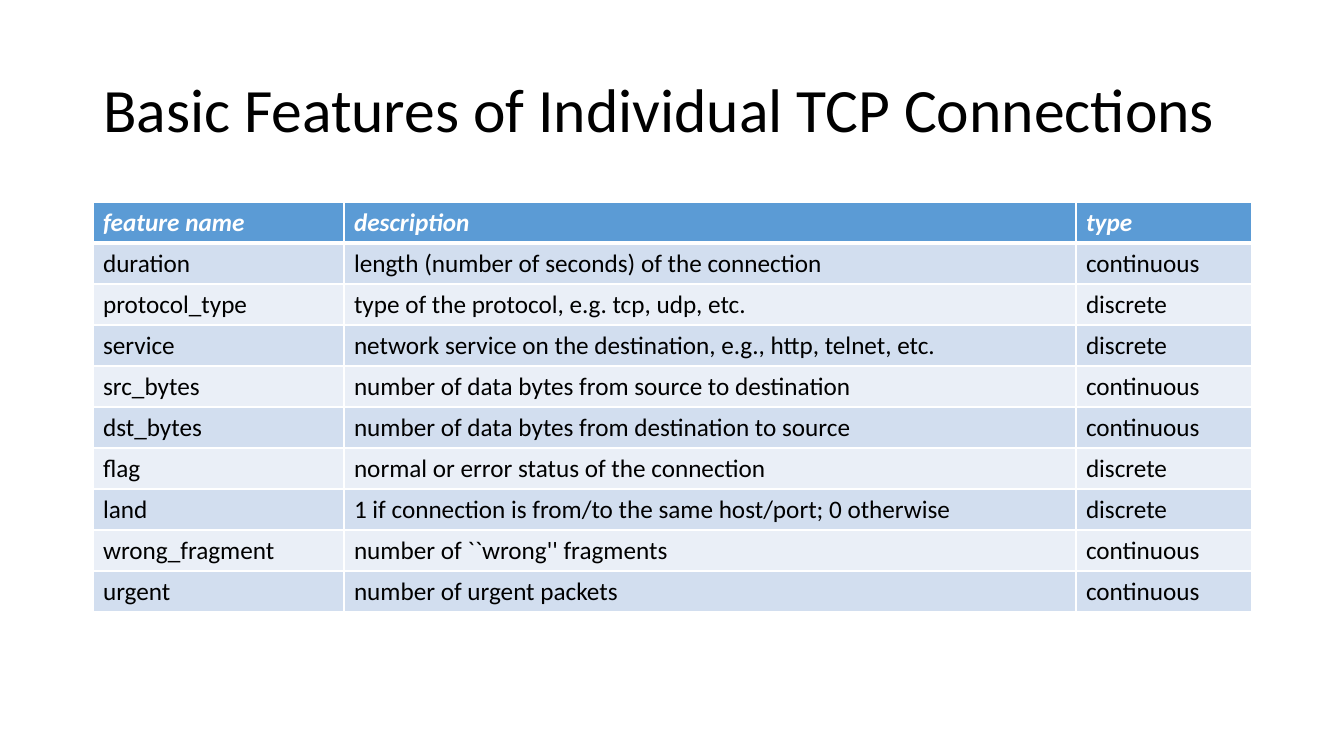
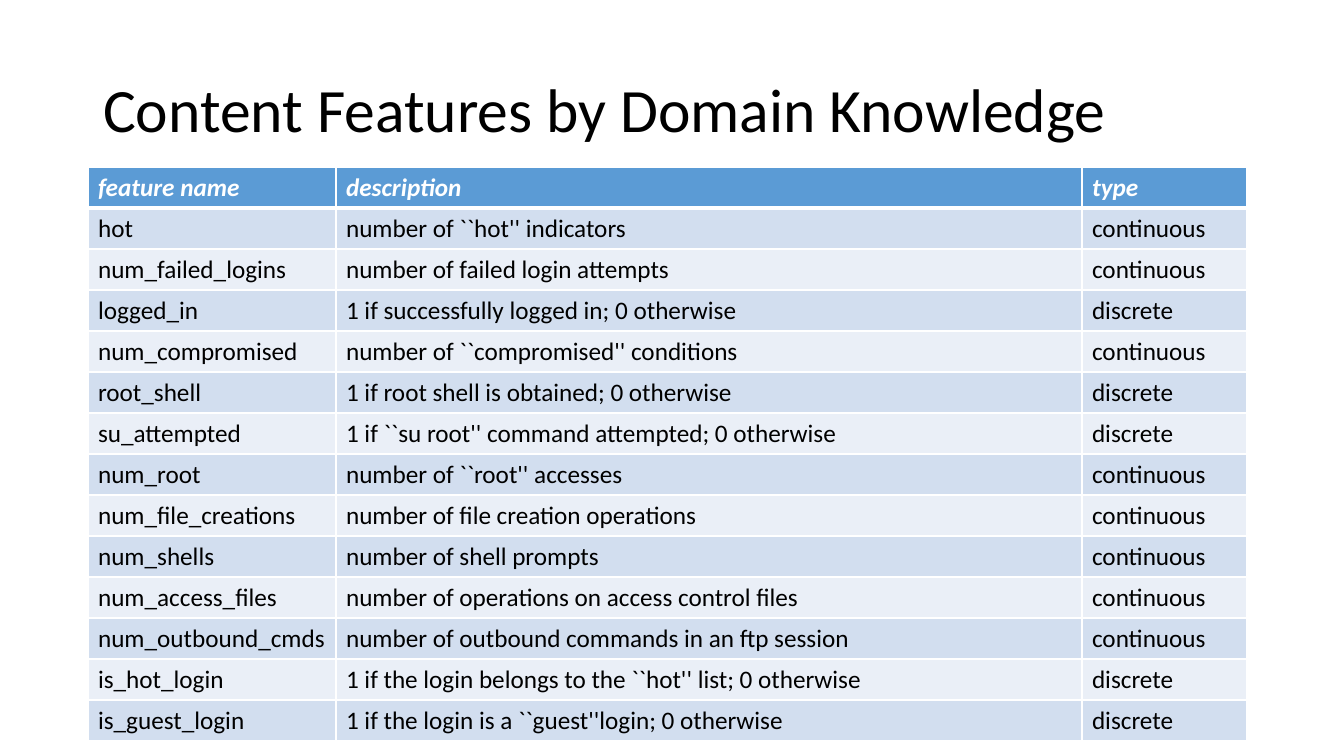
from dataclasses import dataclass

from lxml.etree import SubElement
from pptx import Presentation
from pptx.dml.color import RGBColor
from pptx.enum.text import MSO_ANCHOR as Anchor, MSO_AUTO_SIZE as AutoSize, PP_ALIGN as Align
from pptx.oxml.ns import qn
from pptx.util import Emu, Pt

EMU_PER_PX = 914400 / 100.8
SLIDE_W, SLIDE_H = 1344, 756
TITLE_BOX = (93, 40, 1159, 146)
ROW_H = 41
FONT = "Calibri"
TITLE_PT, CELL_PT = 44, 18
THIN_PT, THICK_PT = 1, 3
COLORS = {
    "text": "000000",
    "header_text": "FFFFFF",
    "header": "5B9BD5",
    "odd_row": "D2DEEF",
    "even_row": "EAEFF7",
    "border": "FFFFFF",
}
HEADER = ("feature name", "description", "type")
CONT, DISC = "continuous", "discrete"


@dataclass(frozen=True)
class FeatureSlide:
    """A titled table of features, with its place and column widths in pixels."""
    title: str
    left: int
    top: int
    col_widths: tuple[int, ...]
    features: tuple[tuple[str, str, str], ...]


SLIDES = (
    FeatureSlide(
        "Basic Features of Individual TCP Connections", 93, 202, (251, 732, 176),
        (
            ("duration", "length (number of seconds) of the connection", CONT),
            ("protocol_type", "type of the protocol, e.g. tcp, udp, etc.", DISC),
            ("service", "network service on the destination, e.g., http, telnet, etc.", DISC),
            ("src_bytes", "number of data bytes from source to destination", CONT),
            ("dst_bytes", "number of data bytes from destination to source", CONT),
            ("flag", "normal or error status of the connection", DISC),
            ("land", "1 if connection is from/to the same host/port; 0 otherwise", DISC),
            ("wrong_fragment", "number of ``wrong'' fragments", CONT),
            ("urgent", "number of urgent packets", CONT),
        ),
    ),
    FeatureSlide(
        "Content Features by Domain Knowledge", 88, 167, (248, 746, 165),
        (
            ("hot", "number of ``hot'' indicators", CONT),
            ("num_failed_logins", "number of failed login attempts", CONT),
            ("logged_in", "1 if successfully logged in; 0 otherwise", DISC),
            ("num_compromised", "number of ``compromised'' conditions", CONT),
            ("root_shell", "1 if root shell is obtained; 0 otherwise", DISC),
            ("su_attempted", "1 if ``su root'' command attempted; 0 otherwise", DISC),
            ("num_root", "number of ``root'' accesses", CONT),
            ("num_file_creations", "number of file creation operations", CONT),
            ("num_shells", "number of shell prompts", CONT),
            ("num_access_files", "number of operations on access control files", CONT),
            ("num_outbound_cmds", "number of outbound commands in an ftp session", CONT),
            ("is_hot_login", "1 if the login belongs to the ``hot'' list; 0 otherwise", DISC),
            ("is_guest_login", "1 if the login is a ``guest''login; 0 otherwise", DISC),
        ),
    ),
)


def px(n: int) -> Emu:
    """Turn pixels into EMU."""
    return Emu(round(n * EMU_PER_PX))


def style_text(tf, size: int, color: str, emphasis: bool = False) -> None:
    """Format every run of a text frame; emphasis is bold italic."""
    for p in tf.paragraphs:
        for r in p.runs:
            r.font.name, r.font.size = FONT, Pt(size)
            r.font.bold = r.font.italic = emphasis
            r.font.color.rgb = RGBColor.from_string(COLORS[color])


def set_borders(cell, top: int, bottom: int) -> None:
    """Draw the four cell borders, with the given top and bottom widths in points."""
    tc_pr = cell._tc.get_or_add_tcPr()
    widths = {"a:lnL": THIN_PT, "a:lnR": THIN_PT, "a:lnT": top, "a:lnB": bottom}
    for i, (tag, width) in enumerate(widths.items()):
        ln = SubElement(tc_pr, qn(tag), w=str(Pt(width)))
        fill = SubElement(ln, qn("a:solidFill"))
        SubElement(fill, qn("a:srgbClr"), val=COLORS["border"])
        tc_pr.insert(i, ln)


def add_title(s, text: str) -> None:
    """Place and format the slide title."""
    sp = s.shapes.title
    sp.left, sp.top, sp.width, sp.height = map(px, TITLE_BOX)
    tf = sp.text_frame
    tf.text = text
    tf.word_wrap = True
    tf.auto_size = AutoSize.NONE
    tf.vertical_anchor = Anchor.MIDDLE
    p = tf.paragraphs[0]
    p.alignment, p.line_spacing = Align.LEFT, 0.9
    style_text(tf, TITLE_PT, "text")


def fill_cell(cell, text: str, row: int) -> None:
    """Write one cell and style it by its row: header, odd or even."""
    is_header = row == 0
    band = "header" if is_header else "odd_row" if row % 2 else "even_row"
    cell.text = text
    cell.vertical_anchor = Anchor.MIDDLE
    style_text(cell.text_frame, CELL_PT, "header_text" if is_header else "text", is_header)
    cell.fill.solid()
    cell.fill.fore_color.rgb = RGBColor.from_string(COLORS[band])
    set_borders(cell, THICK_PT if row == 1 else THIN_PT, THICK_PT if is_header else THIN_PT)


def add_feature_table(s, spec_: FeatureSlide) -> None:
    """Add the table with its header and feature rows."""
    rows = (HEADER, *spec_.features)
    table = s.shapes.add_table(
        len(rows), len(HEADER), px(spec_.left), px(spec_.top),
        px(sum(spec_.col_widths)), px(ROW_H * len(rows)),
    ).table
    for column, width in zip(table.columns, spec_.col_widths):
        column.width = px(width)
    for i, texts in enumerate(rows):
        table.rows[i].height = px(ROW_H)
        for j, text in enumerate(texts):
            fill_cell(table.cell(i, j), text, i)


def main() -> None:
    """Build and save the deck."""
    prs = Presentation()
    prs.slide_width, prs.slide_height = px(SLIDE_W), px(SLIDE_H)
    title_only = prs.slide_layouts.get_by_name("Title Only")
    for feature_slide in SLIDES:
        s = prs.slides.add_slide(title_only)
        add_title(s, feature_slide.title)
        add_feature_table(s, feature_slide)
    prs.save("out.pptx")


main()
